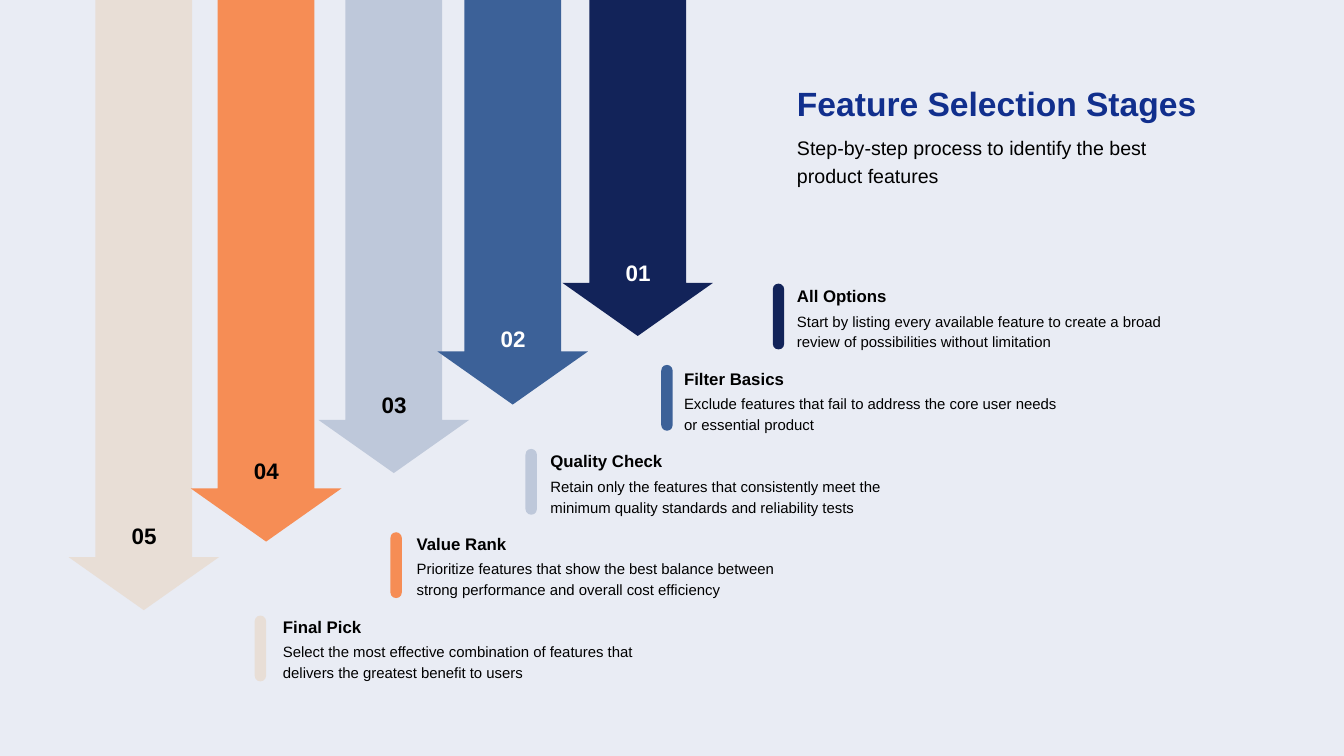
from dataclasses import dataclass

from pptx import Presentation
from pptx.dml.color import RGBColor
from pptx.enum.shapes import MSO_SHAPE as Preset
from pptx.enum.text import MSO_ANCHOR as Anchor, MSO_AUTO_SIZE as AutoSize, PP_ALIGN as Align
from pptx.shapes.base import BaseShape
from pptx.slide import Slide
from pptx.util import Emu, Pt

PX = 9144  # 100 px to the inch
BLACK, WHITE = "000000", "FFFFFF"
ARROW_WIDTH, SHAFT_WIDTH, HEAD_LENGTH = 224, 144, 79
FIRST_TIP, TIP_STEP = 500, 102
FIRST_NUMBER_TOP, NUMBER_STEP, NUMBER_WIDTH = 379, 98, 103
FIRST_HEADING_TOP, HEADING_STEP, TEXT_WIDTH = 420, 123, 579


@dataclass(frozen=True)
class Stage:
    heading: str
    detail: str
    color: str
    number_color: str
    arrow_left: int
    bar_left: int
    bar_top: int
    text_left: int


@dataclass(frozen=True)
class TextStyle:
    size: int
    spacing: float
    color: str = BLACK
    bold: bool = False
    align: Align = Align.LEFT


STAGES = [
    Stage("All Options",
          "Start by listing every available feature to create a broad review of possibilities without limitation",
          "122359", WHITE, 837, 1150, 422, 1186),
    Stage("Filter Basics",
          "Exclude features that fail to address the core user needs or essential product",
          "3C6198", WHITE, 651, 984, 543, 1018),
    Stage("Quality Check",
          "Retain only the features that consistently meet the minimum quality standards and reliability tests",
          "BEC8DA", BLACK, 474, 782, 668, 819),
    Stage("Value Rank",
          "Prioritize features that show the best balance between strong performance and overall cost efficiency",
          "F68D55", BLACK, 284, 581, 792, 620),
    Stage("Final Pick",
          "Select the most effective combination of features that delivers the greatest benefit to users",
          "E8DED6", BLACK, 102, 379, 916, 421),
]
TITLE = TextStyle(36, 50.4, "112F8D", bold=True)
SUBTITLE = TextStyle(21, 29.4)
HEADING = TextStyle(18, 25.2, bold=True)
DETAIL = TextStyle(16, 22.4)


def rgb(color: str) -> RGBColor:
    return RGBColor.from_string(color)


def place(shape: BaseShape, left: int, top: int, width: int, height: int) -> None:
    shape.left, shape.top = Emu(left * PX), Emu(top * PX)
    shape.width, shape.height = Emu(width * PX), Emu(height * PX)


def write(box: BaseShape, text: str, style: TextStyle) -> None:
    frame = box.text_frame
    frame.text = text
    frame.word_wrap = True
    frame.auto_size = AutoSize.SHAPE_TO_FIT_TEXT
    frame.vertical_anchor = Anchor.TOP
    frame.margin_left = frame.margin_right = frame.margin_top = frame.margin_bottom = 0
    para = frame.paragraphs[0]
    para.alignment = style.align
    para.line_spacing = Pt(style.spacing)
    para.space_before = Pt(0)
    para.font.name = "Arial"
    para.font.size = Pt(style.size)
    para.font.bold = style.bold
    para.font.color.rgb = rgb(style.color)


def add_text(slide: Slide, text: str, style: TextStyle,
             left: int, top: int, width: int, height: int) -> None:
    box = slide.shapes.add_textbox(0, 0, 0, 0)
    write(box, text, style)
    place(box, left, top, width, height)


def add_filled(slide: Slide, preset: Preset, color: str,
               left: int, top: int, width: int, height: int) -> BaseShape:
    shape = slide.shapes.add_shape(preset, 0, 0, 0, 0)
    place(shape, left, top, width, height)
    shape.fill.solid()
    shape.fill.fore_color.rgb = rgb(color)
    shape.line.fill.background()
    shape.shadow.inherit = False
    return shape


def add_arrow(slide: Slide, index: int, stage: Stage) -> None:
    arrow = add_filled(slide, Preset.DOWN_ARROW, stage.color, stage.arrow_left, 0,
                       ARROW_WIDTH, FIRST_TIP + index * TIP_STEP)
    arrow.adjustments[0] = SHAFT_WIDTH / ARROW_WIDTH
    arrow.adjustments[1] = HEAD_LENGTH / ARROW_WIDTH


def add_labels(slide: Slide, index: int, stage: Stage) -> None:
    """Add the stage's number, colour bar, heading and detail."""
    number = TextStyle(24, 33.6, stage.number_color, bold=True, align=Align.CENTER)
    number_left = stage.arrow_left + (ARROW_WIDTH - NUMBER_WIDTH + 1) // 2
    add_text(slide, f"{index + 1:02}", number, number_left,
             FIRST_NUMBER_TOP + index * NUMBER_STEP, NUMBER_WIDTH, 43)
    bar = add_filled(slide, Preset.ROUNDED_RECTANGLE, stage.color,
                     stage.bar_left, stage.bar_top, 17, 98)
    bar.adjustments[0] = 0.5
    top = FIRST_HEADING_TOP + index * HEADING_STEP
    add_text(slide, stage.heading, HEADING, stage.text_left, top, TEXT_WIDTH, 34)
    add_text(slide, stage.detail, DETAIL, stage.text_left, top + 40, TEXT_WIDTH, 60)


def main() -> None:
    deck = Presentation()
    deck.slide_width, deck.slide_height = Emu(2000 * PX), Emu(1125 * PX)
    slide = deck.slides.add_slide(deck.slide_layouts[5])
    slide.background.fill.solid()
    slide.background.fill.fore_color.rgb = rgb("E9ECF4")

    title = slide.shapes.title
    write(title, "Feature Selection Stages", TITLE)
    place(title, 1186, 114, 702, 68)
    add_text(slide, "Step-by-step process to identify the best product features",
             SUBTITLE, 1186, 197, 608, 80)

    # The later stages lie behind the earlier ones.
    for index, stage in reversed(list(enumerate(STAGES))):
        add_arrow(slide, index, stage)
    for index, stage in enumerate(STAGES):
        add_labels(slide, index, stage)

    deck.save("out.pptx")


if __name__ == "__main__":
    main()
